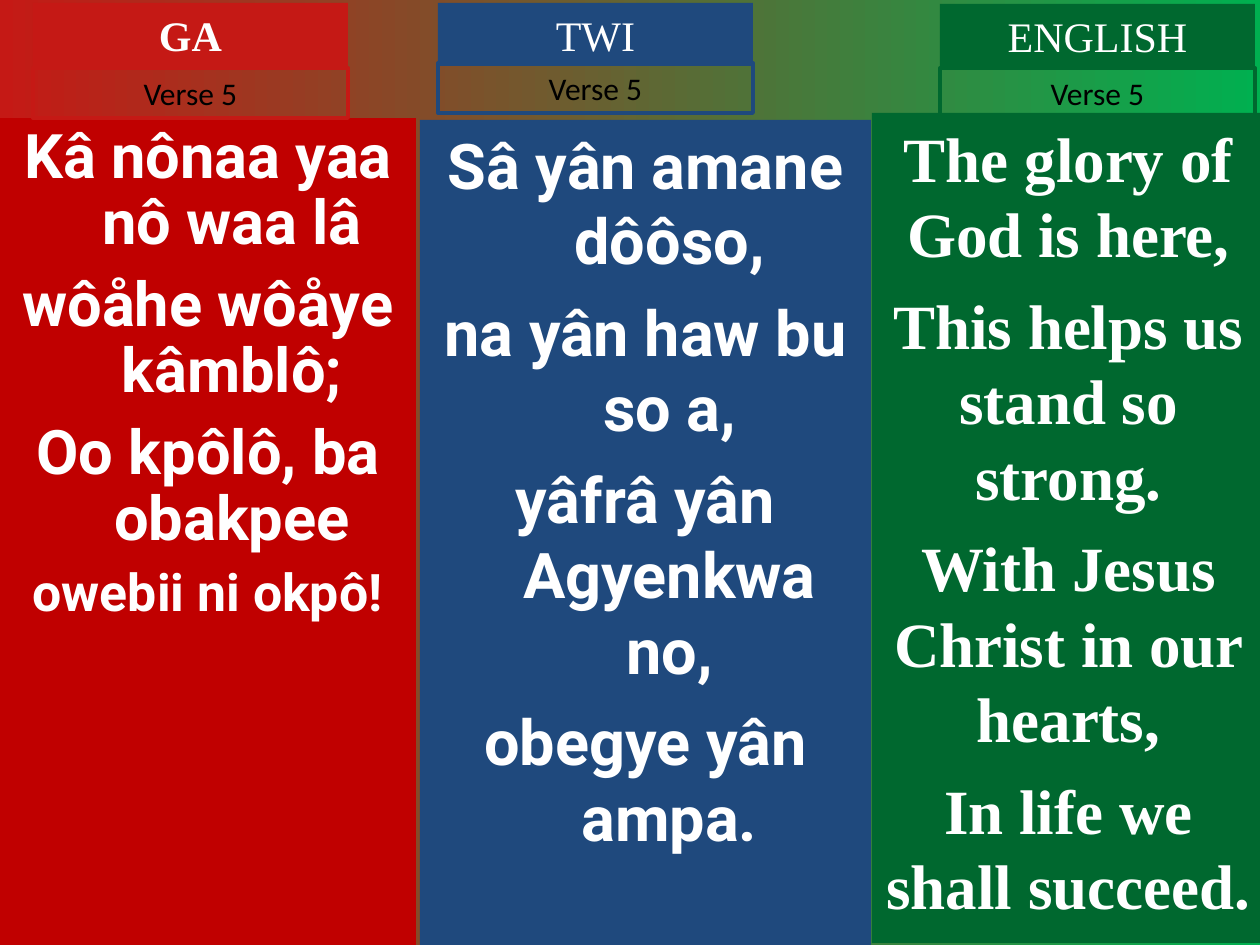
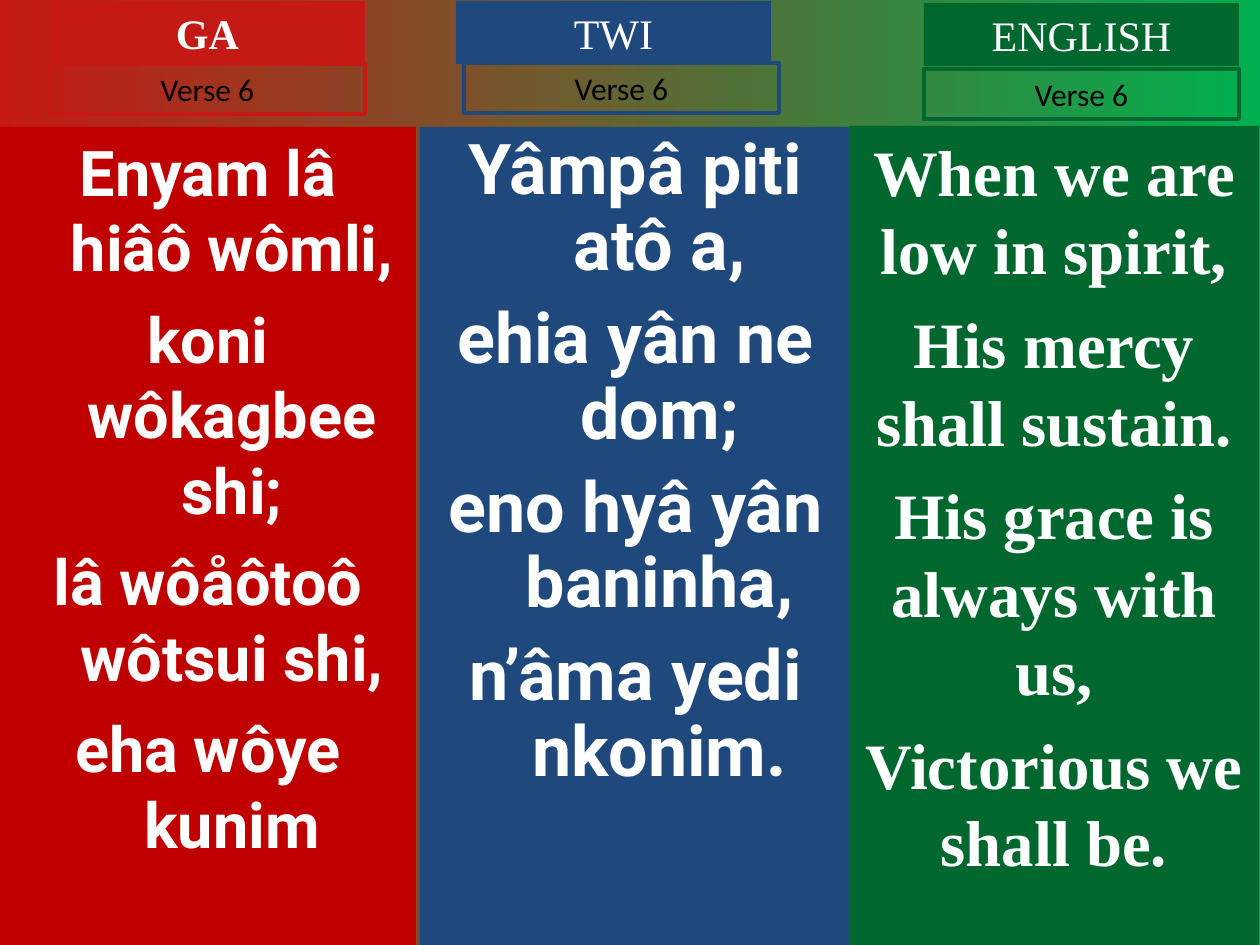
from pptx import Presentation
from pptx.dml.color import RGBColor
from pptx.enum.shapes import MSO_SHAPE
from pptx.enum.text import MSO_ANCHOR, MSO_AUTO_SIZE, PP_ALIGN
from pptx.util import Emu, Pt

# Shared look
COLOURS = {
    "ga": "C51915", "ga_panel": "C00000", "twi": "1F497D", "english": "00682F",
    "bg_left": "C51915", "bg_right": "00B050", "white": "FFFFFF", "black": "000000",
}
LANGUAGES = {
    "GA": dict(tab="ga", panel="ga_panel", font="Roboto", indent=48, bold=True),
    "TWI": dict(tab="twi", panel="twi", font="Roboto", indent=48, bold=False),
    "ENGLISH": dict(tab="english", panel="english", font="Times New Roman",
                    indent=0, bold=False),
}
PX = 914400 / 126
SLIDE_W, SLIDE_H = 1260, 945
TAB_W, TITLE_H, VERSE_H = 315, 63, 50
LINE_HEIGHT = 1.2      # line pitch as a multiple of the text size
GAP_BEFORE = 0.25      # space between hymn lines, times the next size

# Content: title and verse are (left, top); lines may carry their own size
VERSES = [
    ("Verse 5", {
        "GA": dict(panel=(0, 118, 416, 827), title=(33, 3), verse=(33, 68),
                   size=35.1, spacing=0.9,
                   lines=["Kâ nônaa yaa nô waa lâ", "wôåhe wôåye kâmblô;",
                          "Oo kpôlô, ba obakpee", ("owebii ni okpô!", 29.6)]),
        "TWI": dict(panel=(420, 120, 451, 825), title=(438, 3), verse=(438, 63),
                    size=36, spacing=1,
                    lines=["Sâ yân amane dôôso,", "na yân haw bu so a,",
                           "yâfrâ yân Agyenkwa no,", "obegye yân ampa."]),
        "ENGLISH": dict(panel=(872, 113, 393, 830), title=(940, 4), verse=(940, 68),
                        size=36, spacing=1,
                        lines=["The glory of God is here,",
                               "This helps us stand so strong.",
                               "With Jesus Christ in our hearts,",
                               "In life we shall succeed."]),
    }),
    ("Verse 6", {
        "GA": dict(panel=(0, 127, 416, 818), title=(50, 1), verse=(50, 64),
                   size=36, spacing=1,
                   lines=["Enyam lâ hiâô wômli,", "koni wôkagbee shi;",
                          "lâ wôåôtoô wôtsui shi,", "eha wôye kunim"]),
        "TWI": dict(panel=(420, 127, 431, 818), title=(456, 1), verse=(464, 63),
                    size=40, spacing=0.9,
                    lines=["Yâmpâ piti atô a,", "ehia yân ne dom;",
                           "eno hyâ yân baninha,", "n’âma yedi nkonim."]),
        "ENGLISH": dict(panel=(849, 126, 410, 820), title=(924, 3), verse=(924, 69),
                        size=37, spacing=1,
                        lines=["When we are low in spirit,", "His mercy shall sustain.",
                               "His grace is always with us,",
                               "Victorious we shall be."]),
    }),
]


def px(n):
    return Emu(round(n * PX))


def rgb(name):
    return RGBColor.from_string(COLOURS[name])


def add_box(s, box, fill=None, line=None):
    sp = s.shapes.add_shape(MSO_SHAPE.RECTANGLE, *map(px, box))
    sp.shadow.inherit = False
    if fill:
        sp.fill.solid()
        sp.fill.fore_color.rgb = rgb(fill)
    else:
        sp.fill.background()
    if line:
        sp.line.color.rgb = rgb(line)
        sp.line.width = Pt(2.25)
    else:
        sp.line.fill.background()
    tf = sp.text_frame
    tf.word_wrap = True
    tf.vertical_anchor = MSO_ANCHOR.TOP
    return tf


def add_text(p, text, size, font, colour, bold=False):
    p.alignment = PP_ALIGN.CENTER
    r = p.add_run()
    r.text = text
    r.font.size, r.font.name, r.font.bold = Pt(size), font, bold
    r.font.color.rgb = rgb(colour)


def add_panel(s, column, lang):
    tf = add_box(s, column["panel"], fill=lang["panel"])
    for i, line in enumerate(column["lines"]):
        text, size = line if isinstance(line, tuple) else (line, column["size"])
        p = tf.add_paragraph() if i else tf.paragraphs[0]
        p.line_spacing = Pt(size * LINE_HEIGHT * column["spacing"])
        if i:
            p.space_before = Pt(size * GAP_BEFORE)
        if lang["indent"]:
            pPr = p._p.get_or_add_pPr()
            pPr.set("marL", str(px(lang["indent"])))
            pPr.set("indent", str(-px(lang["indent"])))
        add_text(p, text, size, lang["font"], "white", bold=True)


def add_tab(s, name, verse, column, lang):
    title = add_box(s, (*column["title"], TAB_W, TITLE_H), fill=lang["tab"])
    add_text(title.paragraphs[0], name, 24, "Times New Roman", "white", lang["bold"])
    label = add_box(s, (*column["verse"], TAB_W, VERSE_H), line=lang["tab"])
    add_text(label.paragraphs[0], verse, 18, "Calibri", "black")
    for tf in (title, label):
        tf.auto_size = MSO_AUTO_SIZE.SHAPE_TO_FIT_TEXT


def set_background(s):
    fill = s.background.fill
    fill.gradient()
    fill.gradient_angle = 0
    for stop, name in zip(fill.gradient_stops, ("bg_left", "bg_right")):
        stop.color.rgb = rgb(name)


def main():
    prs = Presentation()
    prs.slide_width, prs.slide_height = px(SLIDE_W), px(SLIDE_H)
    for verse, columns in VERSES:
        s = prs.slides.add_slide(prs.slide_layouts[6])
        set_background(s)
        for name, column in columns.items():
            add_panel(s, column, LANGUAGES[name])
            add_tab(s, name, verse, column, LANGUAGES[name])
    prs.save("out.pptx")


if __name__ == "__main__":
    main()
